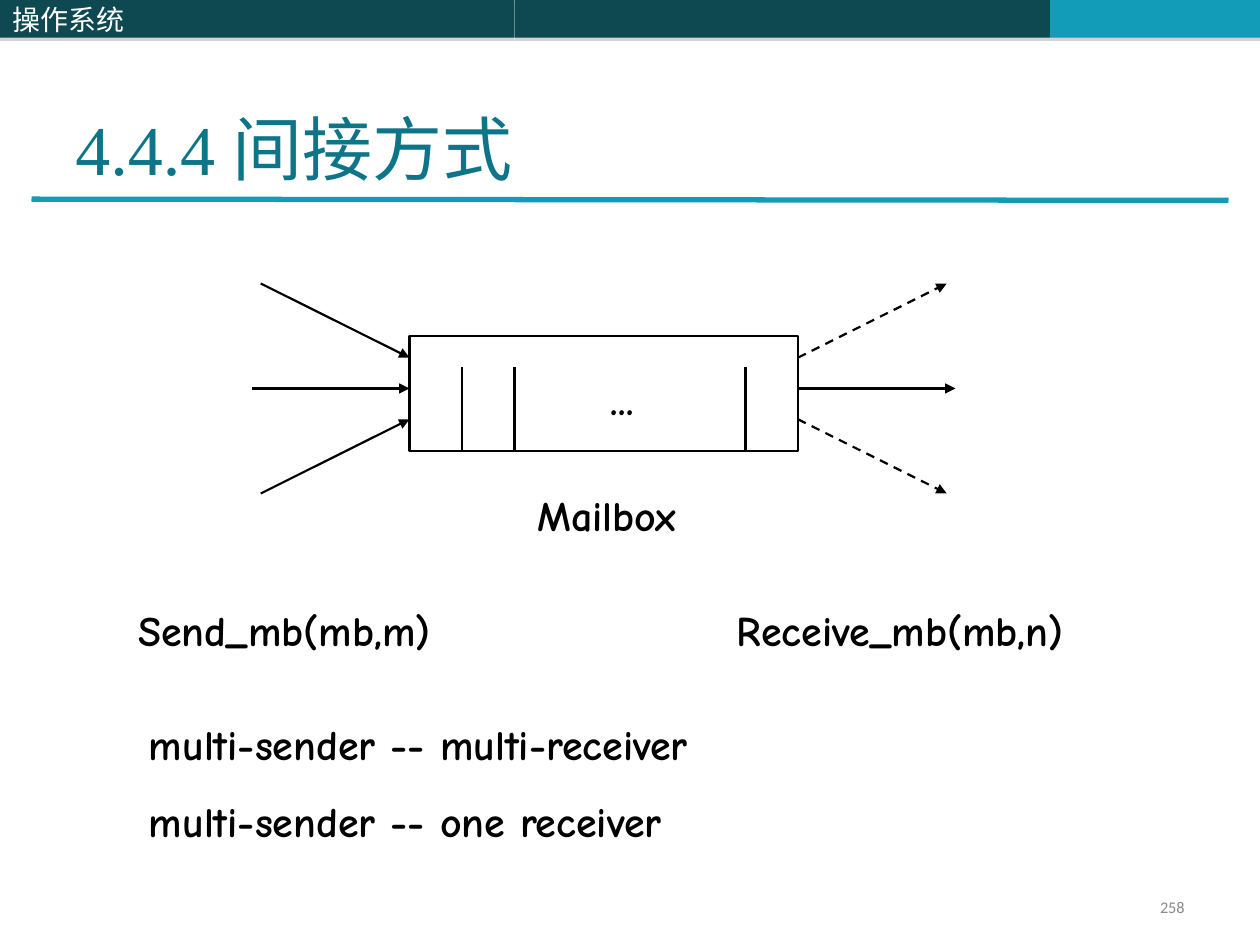
from dataclasses import dataclass

from lxml import etree
from pptx import Presentation
from pptx.dml.color import RGBColor
from pptx.enum.dml import MSO_LINE
from pptx.enum.shapes import MSO_CONNECTOR, MSO_SHAPE
from pptx.enum.text import MSO_ANCHOR, PP_ALIGN
from pptx.oxml.ns import qn
from pptx.util import Pt

RECTANGLE = MSO_SHAPE.RECTANGLE
STRAIGHT = MSO_CONNECTOR.STRAIGHT
DASH = MSO_LINE.DASH
TOP, MIDDLE, BOTTOM = MSO_ANCHOR.TOP, MSO_ANCHOR.MIDDLE, MSO_ANCHOR.BOTTOM
LEFT, RIGHT = PP_ALIGN.LEFT, PP_ALIGN.RIGHT

COLORS = {
    "dark": "0E4851", "accent": "139CB7", "title": "0E7589", "number": "898989",
    "black": "000000", "white": "FFFFFF", "shadow": "808080",
}
CJK_FONT = "Noto Sans CJK SC"


@dataclass
class Box:
    left: float
    top: float
    width: float
    height: float


@dataclass
class TextStyle:
    size: float
    font: str
    color: str
    bold: bool = False
    anchor: MSO_ANCHOR = TOP
    align: PP_ALIGN = LEFT
    line_spacing: float = 1.0


@dataclass
class Label:
    box: Box
    lines: list[str]
    style: TextStyle


@dataclass
class Line:
    x1: float
    y1: float
    x2: float
    y2: float
    arrow: bool = False
    dashed: bool = False
    color: str = "black"
    weight: float = 1.25


def rgb(name: str) -> RGBColor:
    return RGBColor.from_string(COLORS[name])


def write_lines(shape, lines: list[str], style: TextStyle) -> None:
    frame = shape.text_frame
    frame.word_wrap = True
    frame.vertical_anchor = style.anchor
    frame.margin_left = frame.margin_right = Pt(7.2)
    frame.margin_top = frame.margin_bottom = Pt(3.6)
    for index, line in enumerate(lines):
        paragraph = frame.add_paragraph() if index else frame.paragraphs[0]
        paragraph.alignment = style.align
        paragraph.line_spacing = style.line_spacing
        if index:
            paragraph.space_before = Pt(15)
        run = paragraph.add_run()
        run.text = line
        font = run.font
        font.size, font.name, font.bold = Pt(style.size), style.font, style.bold
        font.color.rgb = rgb(style.color)
        etree.SubElement(font._element, qn("a:ea"), typeface=CJK_FONT)


def add_label(slide, label: Label) -> None:
    box = label.box
    shape = slide.shapes.add_textbox(
        Pt(box.left), Pt(box.top), Pt(box.width), Pt(box.height))
    write_lines(shape, label.lines, label.style)


def add_rectangle(slide, box: Box, fill: str, outlined: bool = False):
    shape = slide.shapes.add_shape(
        RECTANGLE, Pt(box.left), Pt(box.top), Pt(box.width), Pt(box.height))
    shape.shadow.inherit = False
    shape.fill.solid()
    shape.fill.fore_color.rgb = rgb(fill)
    if outlined:
        shape.line.color.rgb = rgb("black")
        shape.line.width = Pt(1.25)
    else:
        shape.line.fill.background()
    return shape


def add_drop_shadow(shape) -> None:
    """Put a thin translucent shadow straight below the shape."""
    effects = shape._element.spPr.find(qn("a:effectLst"))
    shadow = etree.SubElement(
        effects, qn("a:outerShdw"), dist=str(Pt(1.8)), dir="5400000", rotWithShape="0")
    color = etree.SubElement(shadow, qn("a:srgbClr"), val=COLORS["shadow"])
    etree.SubElement(color, qn("a:alpha"), val="35000")


def add_line(slide, line: Line) -> None:
    connector = slide.shapes.add_connector(
        STRAIGHT, Pt(line.x1), Pt(line.y1), Pt(line.x2), Pt(line.y2))
    connector.line.color.rgb = rgb(line.color)
    connector.line.width = Pt(line.weight)
    if line.dashed:
        connector.line.dash_style = DASH
    if line.arrow:
        etree.SubElement(connector.line._get_or_add_ln(), qn("a:tailEnd"), type="triangle")
    etree.SubElement(connector._element.spPr, qn("a:effectLst"))


HEADER = TextStyle(16, CJK_FONT, "white", anchor=MIDDLE)
TITLE = TextStyle(40, "Times New Roman", "title", anchor=BOTTOM)
NUMBER = TextStyle(9.3, "Calibri", "number", anchor=MIDDLE, align=RIGHT, line_spacing=0.8)
BODY = TextStyle(24, "Comic Neue", "black", bold=True)

HEADER_HEIGHT = 21.6
HEADER_BARS = [(294, 306, "dark"), (600, 120, "accent"), (0, 294, "dark")]

LABELS = [
    Label(Box(516, 509.8, 168, 19.4), ["258"], NUMBER),
    Label(Box(36, 21.6, 648, 90), ["4.4.4 间接方式"], TITLE),
    Label(Box(300, 276, 114, 36), ["Mailbox"], BODY),
    Label(Box(72, 342, 234, 36), ["Send_mb(mb,m)"], BODY),
    Label(Box(414, 342, 246, 36), ["Receive_mb(mb,n)"], BODY),
    Label(Box(78, 407, 546, 80),
          ["multi-sender -- multi-receiver", "multi-sender -- one receiver"], BODY),
]

MAILBOX = Box(234, 192, 222, 66)
MAILBOX_RIGHT = MAILBOX.left + MAILBOX.width
MAILBOX_BOTTOM = MAILBOX.top + MAILBOX.height
SLOT_TOP = 210
SLOT_DIVIDERS = [264, 294, 426]
MIDDLE_Y = 222
ARROW_LENGTH = 90
SLANTED_LENGTH = 85
OUTER_RISE, INNER_RISE = 60, 17.6


def mailbox_lines() -> list[Line]:
    lines = []
    for side in (-1, 0, 1):
        outer_y = MIDDLE_Y + side * OUTER_RISE
        inner_y = MIDDLE_Y + side * INNER_RISE
        length = SLANTED_LENGTH if side else ARROW_LENGTH
        lines.append(Line(MAILBOX.left - length, outer_y, MAILBOX.left, inner_y, arrow=True))
        lines.append(Line(MAILBOX_RIGHT, inner_y, MAILBOX_RIGHT + length, outer_y,
                          arrow=True, dashed=side != 0))
    lines += [Line(x, SLOT_TOP, x, MAILBOX_BOTTOM) for x in SLOT_DIVIDERS]
    return lines


def main() -> None:
    presentation = Presentation()
    presentation.slide_width, presentation.slide_height = Pt(720), Pt(540)
    slide = presentation.slides.add_slide(presentation.slide_layouts[6])

    for left, width, fill in HEADER_BARS:
        bar = add_rectangle(slide, Box(left, 0, width, HEADER_HEIGHT), fill)
        add_drop_shadow(bar)
    write_lines(bar, ["操作系统"], HEADER)
    add_line(slide, Line(18, 113.8, 702, 114.5, color="accent", weight=3))

    add_rectangle(slide, MAILBOX, "white", outlined=True)
    for line in mailbox_lines():
        add_line(slide, line)
    ellipsis = add_rectangle(slide, Box(342, SLOT_TOP, 36, 36), "white")
    write_lines(ellipsis, ["..."], BODY)

    for label in LABELS:
        add_label(slide, label)
    presentation.save("out.pptx")


if __name__ == "__main__":
    main()
